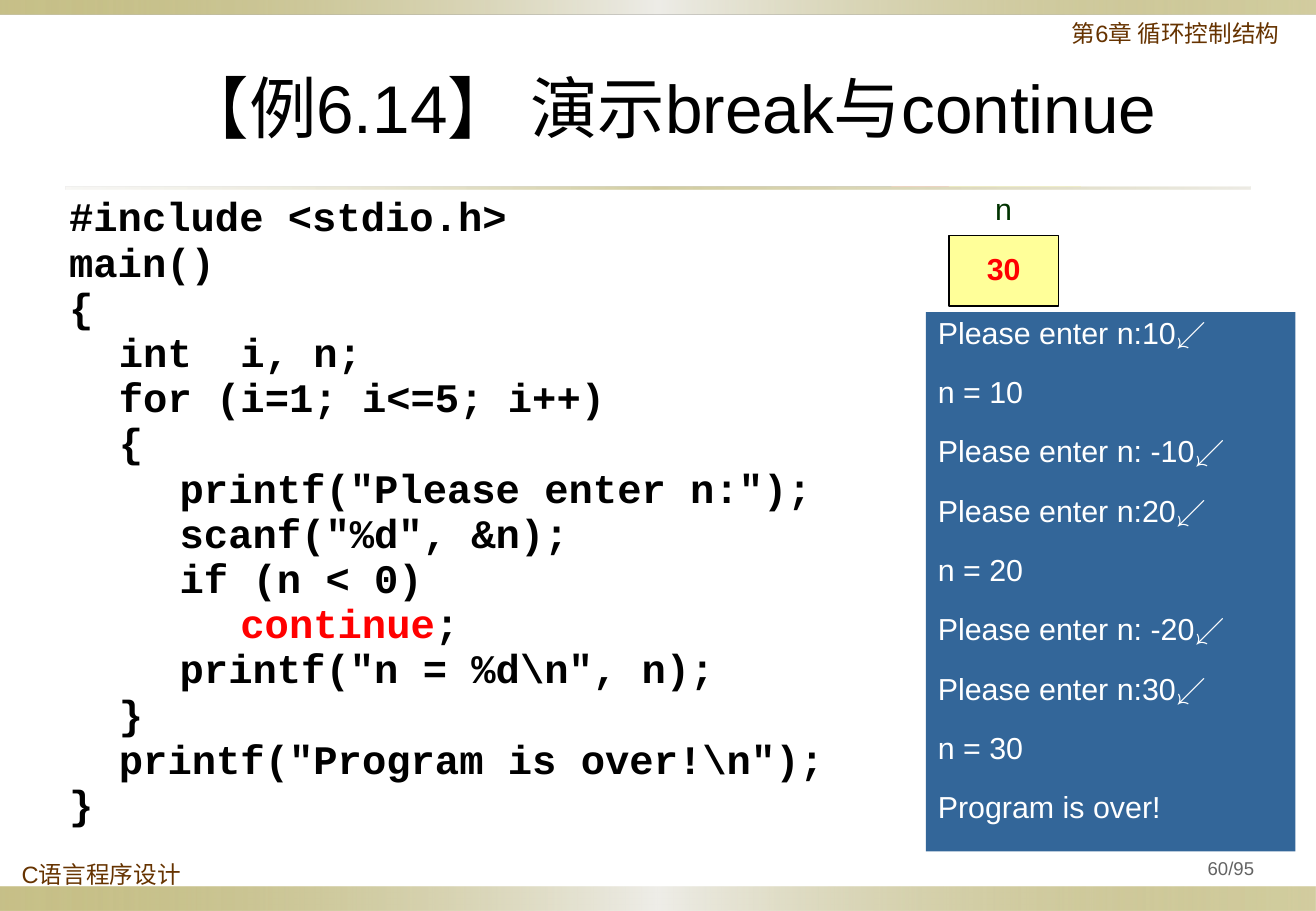
"""Slide on break and continue in C loops."""
from lxml import etree
from pptx import Presentation
from pptx.dml.color import RGBColor
from pptx.enum.shapes import MSO_SHAPE
from pptx.enum.text import MSO_ANCHOR, PP_ALIGN
from pptx.oxml.ns import qn
from pptx.util import Inches, Pt

RECT = MSO_SHAPE.RECTANGLE
TOP, MID = MSO_ANCHOR.TOP, MSO_ANCHOR.MIDDLE
LEFT, MIDDLE = PP_ALIGN.LEFT, PP_ALIGN.CENTER

HEX = {
    "gold": "918415", "pale": "EEEDE8", "sand": "DCD9CC", "brown": "663300",
    "green": "003300", "blue": "336699", "cream": "FFFF99", "red": "FF0000",
    "black": "000000", "white": "FFFFFF", "gray": "636363",
}
BAND = [("gold", 50), ("pale", 100), ("gold", 40)]
RULE = [("sand", 20), ("gold", 40), ("sand", 50)]

CODE = [
    "#include <stdio.h>",
    "main()",
    "{",
    "\tint  i, n;",
    "\tfor (i=1; i<=5; i++)",
    "\t{",
    '\t\tprintf("Please enter n:");',
    '\t\tscanf("%d", &n);',
    "\t\tif (n < 0)",
    [("\t\t\t", "black"), ("continue", "red"), (";", "black")],
    '\t\tprintf("n = %d\\n", n);',
    "\t}",
    '\tprintf("Program is over!\\n");',
    "}",
]
OUTPUT = [
    "Please enter n:10↙", "n = 10", "Please enter n: -10↙",
    "Please enter n:20↙", "n = 20", "Please enter n: -20↙",
    "Please enter n:30↙", "n = 30", "Program is over!",
]


class Deck:
    """Holds the style and the current slide."""

    def __init__(self, slide, font="Arial"):
        self.slide = slide
        self.font = font

    def color(self, name):
        return RGBColor.from_string(HEX[name])

    def rect(self, box, fill=None, line=None):
        shape = self.slide.shapes.add_shape(RECT, *map(Inches, box))
        shape.shadow.inherit = False
        if fill:
            shape.fill.solid()
            shape.fill.fore_color.rgb = self.color(fill)
        if line:
            shape.line.color.rgb = self.color(line)
            shape.line.width = Pt(0.75)
        else:
            shape.line.fill.background()
        return shape

    def fade(self, box, stops):
        shape = self.rect(box)
        shape.fill.gradient()
        shape.fill.gradient_angle = 0
        track = shape._element.spPr.find(qn("a:gradFill")).find(qn("a:gsLst"))
        for old in list(track):
            track.remove(old)
        for i, (name, alpha) in enumerate(stops):
            stop = etree.SubElement(track, qn("a:gs"), pos=str(i * 50000))
            tint = etree.SubElement(stop, qn("a:srgbClr"), val=HEX[name])
            etree.SubElement(tint, qn("a:alpha"), val=str(alpha * 1000))

    def label(self, box, lines, size, color, **style):
        shape = self.slide.shapes.add_textbox(*map(Inches, box))
        self.put(shape, lines, size, color, **style)

    def put(self, shape, lines, size, color, font=None, bold=False,
            align=LEFT, anchor=TOP, pitch=0.9, before=0, after=0,
            hang=0, pad=0.1, wrap=True):
        frame = shape.text_frame
        frame.word_wrap = wrap
        frame.vertical_anchor = anchor
        frame.margin_left = frame.margin_right = Inches(pad)
        frame.margin_top = frame.margin_bottom = Inches(0.05)
        for i, line in enumerate(lines):
            para = frame.add_paragraph() if i else frame.paragraphs[0]
            para.alignment = align
            para.line_spacing = pitch
            para.space_before = Pt(before if i else 0)
            para.space_after = Pt(after)
            if hang:
                props = para._p.get_or_add_pPr()
                props.set("marL", str(Inches(hang)))
                props.set("indent", str(-Inches(hang)))
            parts = [(line, color)] if isinstance(line, str) else line
            for text, tone in parts:
                run = para.add_run()
                run.text = text
                run.font.name = font or self.font
                run.font.size = Pt(size)
                run.font.bold = bold
                run.font.color.rgb = self.color(tone)


def main():
    show = Presentation()
    show.slide_width, show.slide_height = Inches(10.83), Inches(7.5)
    deck = Deck(show.slides.add_slide(show.slide_layouts[6]))

    deck.fade((0, 7.3, 10.83, 0.2), BAND)
    deck.fade((0, 0, 10.83, 0.12), BAND)
    deck.fade((0.54, 1.54, 9.75, 0.02), RULE)
    deck.label((0.08, 7.06, 1.56, 0.32), ["C语言程序设计"], 14, "brown")
    deck.label((8.72, 0.13, 2.11, 0.39), ["第6章 循环控制结构"], 14, "brown")

    deck.label((7.81, 1.55, 0.9, 0.37), ["n"], 18, "green", align=MIDDLE)
    screen = deck.rect((7.62, 2.57, 3.04, 4.44), "blue")
    deck.put(screen, OUTPUT, 18, "white", before=9.8, after=5.9)
    cell = deck.rect((7.81, 1.94, 0.9, 0.58), "cream", "black")
    deck.put(cell, ["30"], 18, "red", bold=True, align=MIDDLE,
             anchor=MID, wrap=False)

    deck.label((0.47, 1.62, 9.21, 5.12), CODE, 24, "black",
               font="Courier New", bold=True, pitch=0.75, after=5.2, hang=0.41)
    deck.label((0.68, 0.6, 9.65, 1.02), ["【例6.14】 演示break与continue"],
               40, "black", align=MIDDLE, pitch=0.85)
    deck.label((9.59, 7, 1.08, 0.31), ["60/95"], 11, "gray",
               align=MIDDLE, anchor=MID, pad=0.05)
    show.save("out.pptx")


if __name__ == "__main__":
    main()
